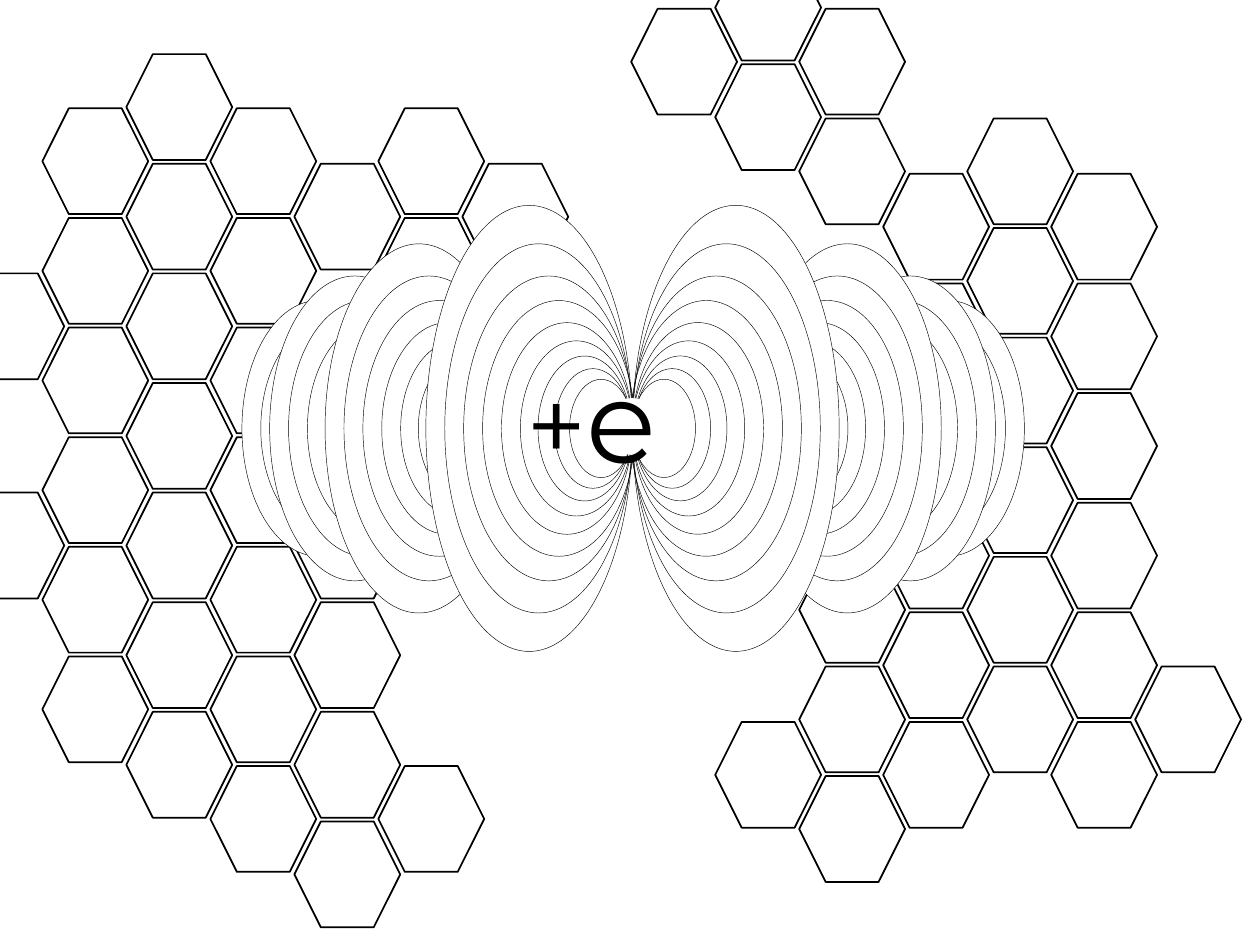
"""Builds a slide of a charge with its field lines over a honeycomb background."""
from pptx import Presentation
from pptx import util as u
from pptx.dml.color import RGBColor
from pptx.enum import shapes, text

BLACK = RGBColor(0, 0, 0)
WHITE = RGBColor(255, 255, 255)

HEXAGON_SIZE = 0.84
COLUMN_STEP = 2 / 3
ROW_STEP = 0.87
HALF_ROW = 0.43
CENTER_Y = 3.4

# left, top of even columns, shift of odd columns, filled rows of each column
HONEYCOMBS = [
    (-0.33, 0.43, HALF_ROW,
     [(2, 4), range(6), range(7), range(7), (1, 3, 4, 5, 6, 7), (0, 1, 6), (1, 2)]),
    (5.01, 0.07, -HALF_ROW,
     [(0,), (0, 1, 7), (0, 1, 3, 5, 6, 7), range(2, 8), range(1, 7), range(2, 8), (6,)]),
]

# width, height, shift away from the anchor
RINGS = [(1.64, 3.54, 0), (1.49, 2.93, 0), (1.35, 2.42, -0.01),
         (1.21, 2.03, -0.02), (1.04, 1.68, 0), (0.89, 1.39, 0),
         (0.74, 1.15, 0.01), (0.61, 0.95, 0.01), (0.5, 0.78, 0)]

# anchor, direction, outermost ring
FANS = [(3.11, -1, 3), (3.48, -1, 2), (6.94, 1, 3), (4.07, -1, 1),
        (6.56, 1, 2), (5.98, 1, 1), (5.02, 1, 0), (5.02, -1, 0)]


def add_outline(parent, kind, left, top, width, height, line_width, filled=False):
    shape = parent.add_shape(kind, u.Inches(left), u.Inches(top),
                             u.Inches(width), u.Inches(height))
    shape.shadow.inherit = False
    if filled:
        shape.fill.solid()
        shape.fill.fore_color.rgb = WHITE
    else:
        shape.fill.background()
    if line_width:
        shape.line.color.rgb = BLACK
        shape.line.width = u.Pt(line_width)
    else:
        shape.line.fill.background()
    return shape


presentation = Presentation()
presentation.slide_width = u.Inches(10)
presentation.slide_height = u.Inches(7.5)
slide = presentation.slides.add_slide(presentation.slide_layouts[6])

for left, top, odd_shift, columns in HONEYCOMBS:
    for column, rows in enumerate(columns):
        for row in rows:
            add_outline(slide.shapes, shapes.MSO_SHAPE.HEXAGON,
                        left + column * COLUMN_STEP,
                        top + row * ROW_STEP + column % 2 * odd_shift,
                        HEXAGON_SIZE, HEXAGON_SIZE, 1)

for anchor, direction, outermost in FANS:
    fan = slide.shapes.add_group_shape()
    for index, (width, height, shift) in enumerate(RINGS[outermost:]):
        edge = anchor + direction * shift
        left = edge if direction > 0 else edge - width
        ring = add_outline(fan.shapes, shapes.MSO_SHAPE.OVAL, left,
                           CENTER_Y - height / 2, width, height, 0.25,
                           filled=index == 0)
        ring.rotation = 0 if direction > 0 else 180

add_outline(slide.shapes, shapes.MSO_SHAPE.OVAL, 4.79, 3.16, 0.45, 0.45, 0, filled=True)

charge = slide.shapes.add_textbox(u.Inches(4.08), u.Inches(2.71),
                                  u.Inches(1.37), u.Inches(1.21))
charge.text_frame.word_wrap = False
charge.text_frame.auto_size = text.MSO_AUTO_SIZE.SHAPE_TO_FIT_TEXT
paragraph = charge.text_frame.paragraphs[0]
paragraph.font.name = "Montserrat"
paragraph.font.color.rgb = BLACK
for symbol, size in (("+", 60), ("e", 66)):
    run = paragraph.add_run()
    run.text = symbol
    run.font.size = u.Pt(size)

presentation.save("out.pptx")
